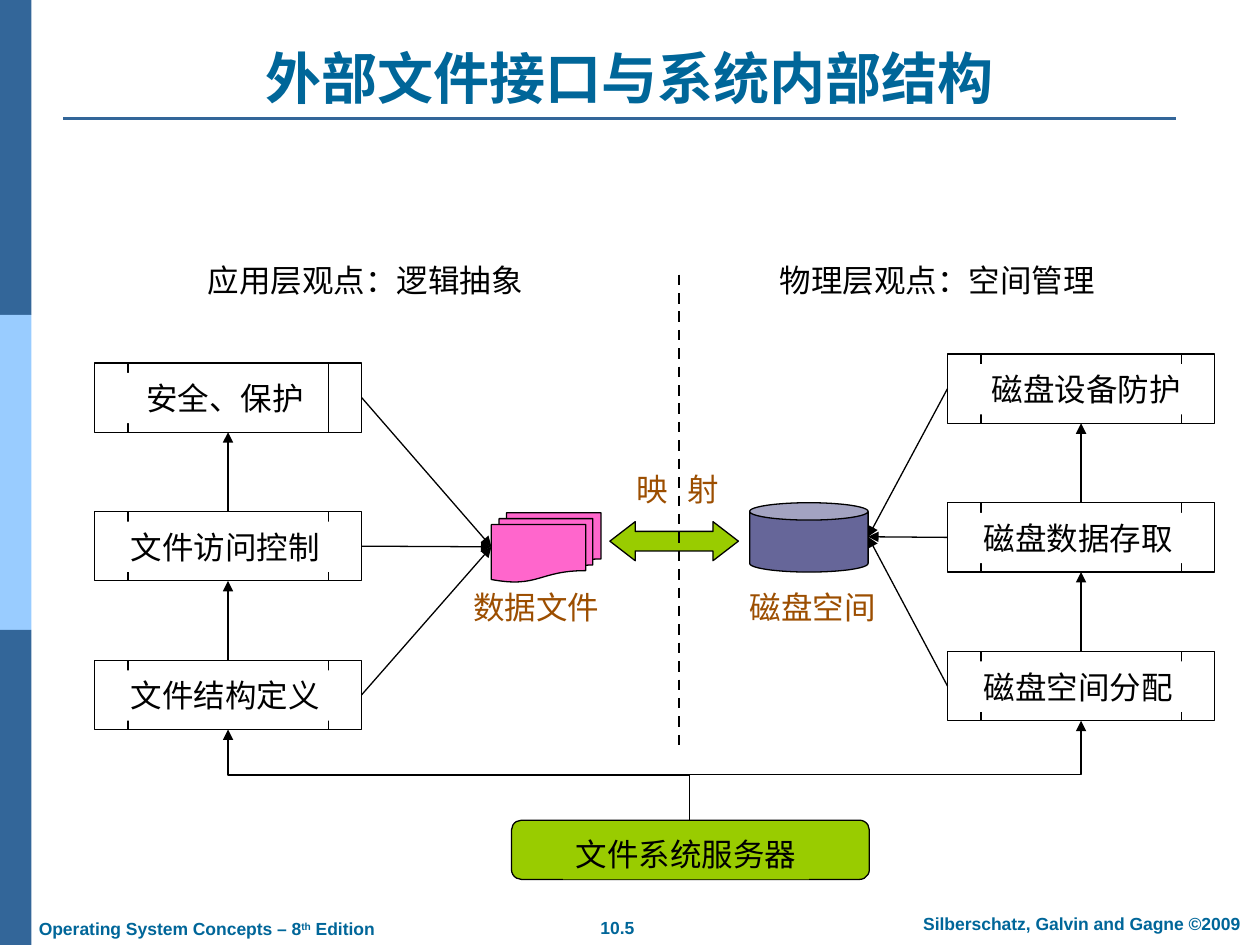
from dataclasses import dataclass

from lxml import etree
from pptx import Presentation
from pptx.dml.color import RGBColor
from pptx.enum.dml import MSO_LINE
from pptx.enum.shapes import MSO_CONNECTOR as Connector, MSO_SHAPE as Shape
from pptx.enum.text import MSO_ANCHOR as Anchor, MSO_AUTO_SIZE as AutoSize, PP_ALIGN as Align
from pptx.oxml.ns import qn
from pptx.util import Inches, Pt


@dataclass(frozen=True)
class Theme:
    ink: str = "000000"
    paper: str = "FFFFFF"
    heading: str = "006699"
    bar: str = "336699"
    bar_light: str = "99CCFF"
    caption: str = "9C4E00"
    green: str = "99CC00"
    pink: str = "FF66CC"
    disk: str = "666699"
    body_font: str = "Lato"
    heading_font: str = "Arial"
    title_size: int = 32
    body_size: int = 18
    footer_size: int = 10
    thin: float = 0.75
    thick: float = 1.5


THEME = Theme()
BODY = {"name": THEME.body_font, "size": Pt(THEME.body_size)}
TITLE = {"name": THEME.heading_font, "size": Pt(THEME.title_size), "bold": True}
FOOTER = {"name": THEME.heading_font, "size": Pt(THEME.footer_size), "bold": True}
TOP, LEFT, BOTTOM, RIGHT = range(4)
LABEL_HEIGHT = 0.4
NODE_WIDTH, NODE_HEIGHT = 2.12, 0.55


def rgb(value):
    return RGBColor.from_string(value)


def write(shape, runs, style, color, align=Align.LEFT, wrap=False, anchor=Anchor.TOP, indent=0.1):
    """Fill the shape with one paragraph; runs are (text, baseline) pairs."""
    frame = shape.text_frame
    settings = {"word_wrap": wrap, "vertical_anchor": anchor, "margin_left": Inches(indent),
                "auto_size": AutoSize.NONE if anchor == Anchor.BOTTOM else AutoSize.SHAPE_TO_FIT_TEXT}
    for name, value in settings.items():
        setattr(frame, name, value)
    paragraph = frame.paragraphs[0]
    paragraph.alignment = align
    for text, baseline in runs:
        run = paragraph.add_run()
        run.text = text
        for name, value in style.items():
            setattr(run.font, name, value)
        run.font.color.rgb = rgb(color)
        properties = run.font._element
        etree.SubElement(properties, qn("a:ea")).set("typeface", style["name"])
        if baseline:
            properties.set("baseline", str(baseline))
    return paragraph


def add_text(slide, box, text, style=BODY, color=THEME.ink, **layout):
    runs = [(text, 0)] if isinstance(text, str) else text
    return write(slide.shapes.add_textbox(*map(Inches, box)), runs, style, color, **layout)


def add_figure(slide, kind, box, fill, outlined=True):
    shape = slide.shapes.add_shape(kind, *map(Inches, box))
    shape.shadow.inherit = False
    shape.fill.solid()
    shape.fill.fore_color.rgb = rgb(fill)
    if outlined:
        shape.line.color.rgb = rgb(THEME.ink)
        shape.line.width = Pt(THEME.thin)
    else:
        shape.line.fill.background()
    return shape


def add_line(slide, start, end, color=THEME.ink, width=THEME.thin, arrow=False, kind=Connector.STRAIGHT):
    line = slide.shapes.add_connector(kind, *map(Inches, start + end))
    line.line.color.rgb = rgb(color)
    line.line.width = Pt(width)
    if arrow:
        etree.SubElement(line.line._get_or_add_ln(), qn("a:tailEnd")).set("type", "triangle")
    etree.SubElement(line._element.spPr, qn("a:effectLst"))
    return line


def add_riser(slide, start, end, bend_y):
    """Elbow arrow that rises to bend_y, runs sideways, then rises to its end."""
    (x1, y1), (x2, y2) = start, end
    rise, run = y1 - y2, abs(x2 - x1)
    left, top = (x1 + x2 - rise) / 2, (y1 + y2 - run) / 2
    first_y, last_y = (top, top + run) if x2 > x1 else (top + run, top)
    line = add_line(slide, (left, first_y), (left + rise, last_y), arrow=True, kind=Connector.ELBOW)
    properties = line._element.spPr
    properties.find(qn("a:xfrm")).set("rot", str(270 * 60000))
    geometry = properties.find(qn("a:prstGeom"))
    guides = geometry.find(qn("a:avLst"))
    if guides is None:
        guides = etree.SubElement(geometry, qn("a:avLst"))
    guide = etree.SubElement(guides, qn("a:gd"))
    guide.set("name", "adj1")
    guide.set("fmla", f"val {round((y1 - bend_y) / rise * 100000)}")


def add_frame(slide, box):
    """Side bar, title rule, title and footer."""
    left, top, width, height = box
    third = height / 3
    for row, color in enumerate((THEME.bar, THEME.bar_light, THEME.bar)):
        add_figure(slide, Shape.RECTANGLE, (left, top + row * third, 0.25, third), color, outlined=False)
    add_line(slide, (left + 0.5, top + 0.94), (left + 9.33, top + 0.94), THEME.bar, THEME.thick)
    add_text(slide, (left + 0.5, top + 0.3, width - 1, 0.63), "外部文件接口与系统内部结构", TITLE,
             THEME.heading, align=Align.CENTER, wrap=True, anchor=Anchor.BOTTOM)
    edition = [("Operating System Concepts – 8", 0), ("th", 30000), (" Edition", 0)]
    for x, y, text_width, text, layout in (
        (0.21, 7.24, 3.2, edition, {"wrap": True}),
        (4.37, 7.23, 1.06, "10.5", {"align": Align.CENTER}),
        (7.1, 7.2, 2.97, "Silberschatz, Galvin and Gagne ©2009", {"align": Align.CENTER, "wrap": True}),
    ):
        add_text(slide, (left + x, top + y, text_width, 0.27), text, FOOTER, THEME.heading, **layout)


def add_process_column(slide, left, top, heading_left, heading, steps, side, target):
    """Three stacked steps, arrows up between them, and arrows from one side to target."""
    add_text(slide, (heading_left, 2.02, 2.7, LABEL_HEIGHT), heading)
    nodes = []
    for row, (text, label_width, indent) in enumerate(steps):
        y = top + row * 1.18
        nodes.append(add_figure(slide, Shape.FLOWCHART_PREDEFINED_PROCESS,
                                (left, y, NODE_WIDTH, NODE_HEIGHT), THEME.paper))
        label = add_figure(slide, Shape.RECTANGLE, (left + 0.19, y + 0.08, label_width, LABEL_HEIGHT),
                           THEME.paper, outlined=False)
        write(label, [(text, 0)], BODY, THEME.ink, indent=indent)
    for upper, lower in zip(nodes, nodes[1:]):
        line = add_line(slide, (0, 0), (0, 0), arrow=True)
        line.begin_connect(lower, TOP)
        line.end_connect(upper, BOTTOM)
    for node in nodes:
        line = add_line(slide, target, target, arrow=True)
        line.begin_connect(node, side)
    return left + NODE_WIDTH / 2, top + 2 * 1.18 + NODE_HEIGHT


def add_mapping(slide, box):
    """Data file and disk joined by a double arrow across the dashed divider."""
    left, top, width, height = box
    add_figure(slide, Shape.FLOWCHART_MULTIDOCUMENT, (left, top + 0.08, 0.87, height), THEME.pink)
    add_figure(slide, Shape.CAN, (left + width - 0.94, top, 0.94, height), THEME.disk)
    arrow = add_figure(slide, Shape.LEFT_RIGHT_ARROW, (left + 0.94, top + 0.15, 1.02, 0.31), THEME.green)
    arrow.adjustments[1] = 0.65
    for x, text_width, text in ((-0.24, 1.34, "数据文件"), (1.95, 1.52, "磁盘空间")):
        add_text(slide, (left + x, top + 0.63, text_width, LABEL_HEIGHT), text, color=THEME.caption, wrap=True)
    paragraph = add_text(slide, (left + 1.05, top - 0.31, 0.87, LABEL_HEIGHT), "映\t射", color=THEME.caption)
    stops = etree.SubElement(paragraph._p.get_or_add_pPr(), qn("a:tabLst"))
    stop = etree.SubElement(stops, qn("a:tab"))
    stop.set("pos", str(Inches(0.41)))
    stop.set("algn", "l")
    divider = add_line(slide, (left + 1.49, 2.18), (left + 1.49, 5.95), width=THEME.thick)
    divider.line.dash_style = MSO_LINE.DASH


def add_server(slide, box, targets):
    left, top, width, height = box
    add_figure(slide, Shape.FLOWCHART_ALTERNATE_PROCESS, box, THEME.green)
    label = add_figure(slide, Shape.RECTANGLE, (left + 0.41, top + 0.07, 1.95, LABEL_HEIGHT),
                       THEME.green, outlined=False)
    write(label, [("文件系统服务器", 0)], BODY, THEME.ink)
    for target in targets:
        add_riser(slide, (left + width / 2 - 0.01, top), target, 6.15)


def main():
    presentation = Presentation()
    presentation.slide_width, presentation.slide_height = Inches(10), Inches(7.5)
    slide = presentation.slides.add_slide(presentation.slide_layouts[6])
    add_frame(slide, (0, 0, 10, 7.5))
    logical = add_process_column(
        slide, 0.75, 2.88, 1.55, "应用层观点：逻辑抽象",
        [("安全、保护", 1.58, 0.22), ("文件访问控制", 1.7, 0.1), ("文件结构定义", 1.7, 0.1)],
        RIGHT, (3.9, 4.34))
    physical = add_process_column(
        slide, 7.52, 2.81, 6.09, "物理层观点：空间管理",
        [("磁盘设备防护", 1.76, 0.16), ("磁盘数据存取", 1.7, 0.1), ("磁盘空间分配", 1.7, 0.1)],
        LEFT, (6.89, 4.26))
    add_mapping(slide, (3.9, 3.99, 2.99, 0.55))
    add_server(slide, (4.06, 6.51, 2.84, 0.47), (logical, physical))
    presentation.save("out.pptx")


if __name__ == "__main__":
    main()
